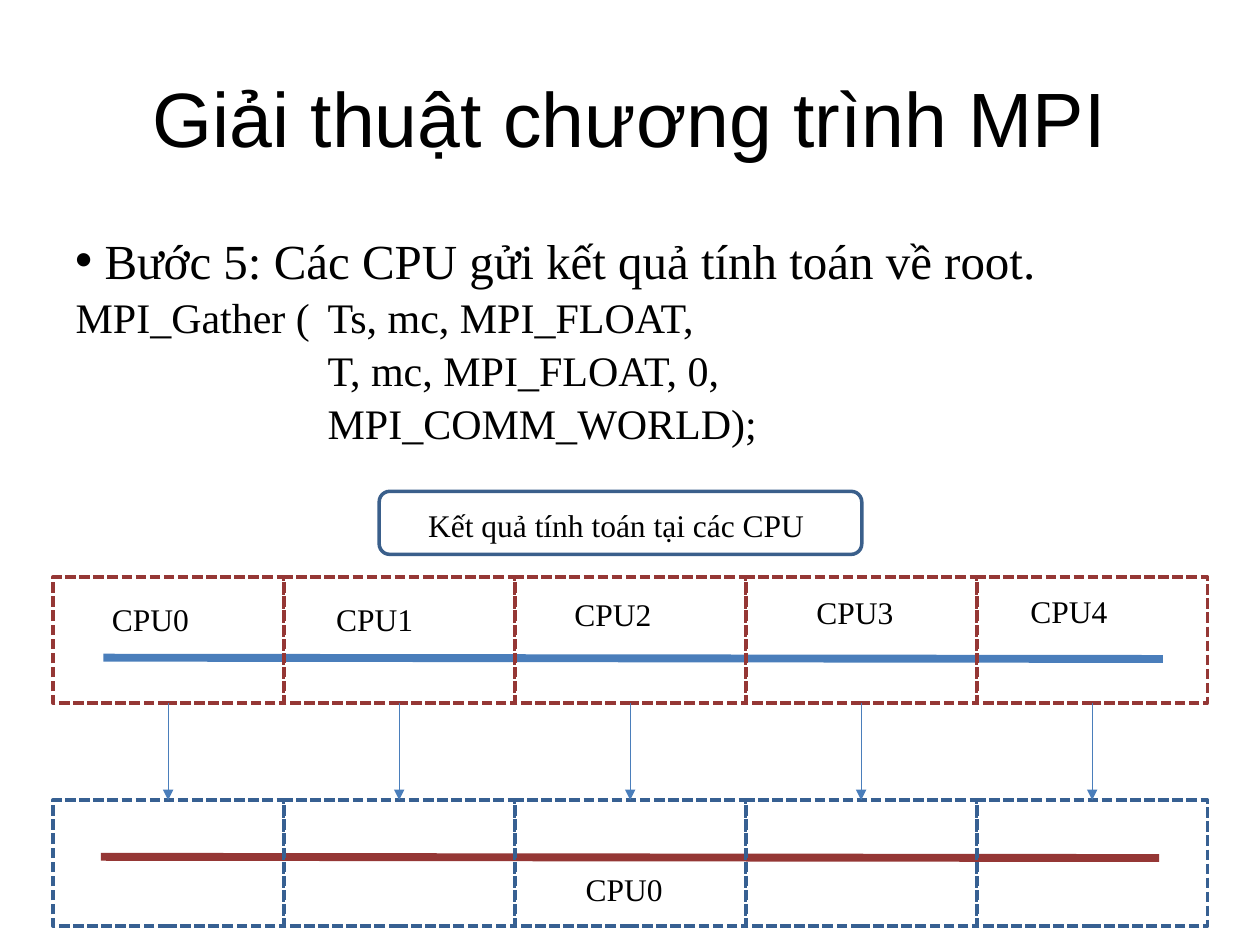
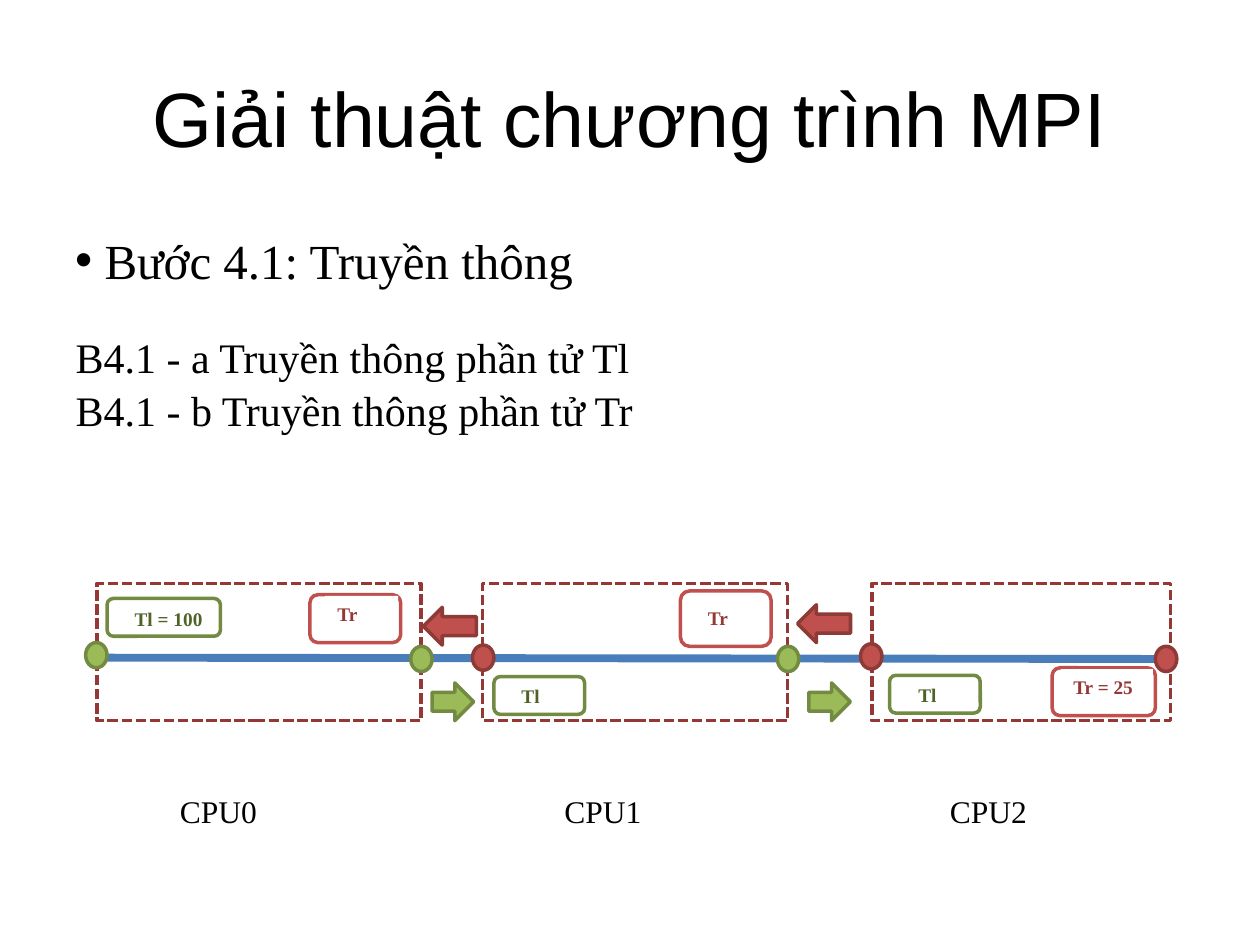
from lxml import etree
from pptx import Presentation
from pptx.dml.color import RGBColor
from pptx.enum.dml import MSO_LINE
from pptx.enum.shapes import MSO_CONNECTOR, MSO_SHAPE as SHAPE
from pptx.enum.text import MSO_ANCHOR, PP_ALIGN
from pptx.oxml.ns import qn
from pptx.util import Inches, Pt

COLORS = {
    "black": "000000", "white": "FFFFFF", "blue": "4A7EBB",
    "navy": "376092", "label_edge": "3A5F8B", "maroon": "953735",
    "red": "C0504D", "red_edge": "8E3B38", "green": "9BBB59",
    "green_edge": "728A41", "green_text": "4F6228",
}
RGB = {name: RGBColor.from_string(code) for name, code in COLORS.items()}
TITLE_FONT, BODY_FONT = "Arial", "Times New Roman"
TITLE = "Giải thuật chương trình MPI"


def add_box(s, at, text="", kind=None, fill=None, line=None, dash=False,
            size=18, color="black", bold=False):
    """Add a preset shape, or a text box when no kind is given."""
    place = [Inches(n) for n in at]
    if kind is None:
        sp = s.shapes.add_textbox(*place)
    else:
        sp = s.shapes.add_shape(kind, *place)
        sp.shadow.inherit = False
    if fill:
        sp.fill.solid()
        sp.fill.fore_color.rgb = RGB[fill]
    else:
        sp.fill.background()
    if line:
        sp.line.color.rgb = RGB[line]
        sp.line.width = Pt(2)
        if dash:
            sp.line.dash_style = MSO_LINE.SQUARE_DOT
    else:
        sp.line.fill.background()
    if text:
        tf = sp.text_frame
        tf.word_wrap = True
        r = tf.paragraphs[0].add_run()
        r.text = text
        r.font.name, r.font.size, r.font.bold = BODY_FONT, Pt(size), bold
        r.font.color.rgb = RGB[color]


def add_line(s, x1, y1, x2, y2, color, width, arrow=False):
    """Add a straight line without shadow, optionally with an arrowhead."""
    cx = s.shapes.add_connector(MSO_CONNECTOR.STRAIGHT, Inches(x1), Inches(y1),
                                Inches(x2), Inches(y2))
    cx.line.color.rgb = RGB[color]
    cx.line.width = Pt(width)
    if arrow:
        etree.SubElement(cx.line._get_or_add_ln(), qn("a:tailEnd"), type="triangle")
    etree.SubElement(cx._element.spPr, qn("a:effectLst"))


prs = Presentation()
prs.slide_width, prs.slide_height = Inches(10), Inches(7.5)

# Shared frame: title, bulleted step, plain lines below it, blue data bar.
# Each entry: step, gap above the plain lines in points, plain lines.
contents = [
    ("Bước 5: Các CPU gửi kết quả tính toán về root.", 1.4,
     ["MPI_Gather (\tTs, mc, MPI_FLOAT,", "\t\tT, mc, MPI_FLOAT, 0,",
      "\t\tMPI_COMM_WORLD);"]),
    ("Bước 4.1: Truyền thông", 24,
     ["B4.1 - a Truyền thông phần tử Tl", "B4.1 - b Truyền thông phần tử Tr"]),
]
slides = []
for step, gap, lines in contents:
    s = prs.slides.add_slide(prs.slide_layouts[1])
    slides.append(s)

    title, body = s.placeholders[0], s.placeholders[1]
    title.left, title.top = Inches(0.5), Inches(0.3)
    title.width, title.height = Inches(9), Inches(1.25)
    title.text_frame.vertical_anchor = MSO_ANCHOR.MIDDLE
    p = title.text_frame.paragraphs[0]
    p.alignment = PP_ALIGN.CENTER
    r = p.add_run()
    r.text = TITLE
    r.font.name, r.font.size = TITLE_FONT, Pt(44)
    r.font.color.rgb = RGB["black"]

    body.left, body.top = Inches(0.5), Inches(1.75)
    body.width, body.height = Inches(9), Inches(4.95)
    tf = body.text_frame
    tf.margin_top = Inches(0.08)
    for i, text in enumerate([step] + lines):
        p = tf.add_paragraph() if i else tf.paragraphs[0]
        p.space_before = Pt(gap if i == 1 else 1.4)
        pPr = p._p.get_or_add_pPr()
        hang = 0 if i else Inches(0.23)
        pPr.set("marL", str(hang))
        pPr.set("indent", str(-hang))
        pPr.set("defTabSz", str(Inches(1)))
        if i:
            etree.SubElement(pPr, qn("a:buNone"))
        r = p.add_run()
        r.text = text
        r.font.name, r.font.size = BODY_FONT, Pt(24 if i else 28)
        r.font.color.rgb = RGB["black"]

    add_line(s, 0.82, 5.22, 9.23, 5.23, "blue", 4.5)

# Slide 1: five CPU parts gathered into one row on CPU0
s = slides[0]
LEFT, CELL = 0.42, 1.83
cells = [LEFT + i * 11 / 6 for i in range(5)]
for x in cells:
    add_box(s, (x, 4.58, CELL, 1), kind=SHAPE.RECTANGLE, line="maroon", dash=True)
cpu_labels = [(0.79, 4.71), (2.57, 4.71), (4.46, 4.67), (6.38, 4.66), (8.08, 4.65)]
for i, (x, y) in enumerate(cpu_labels):
    add_box(s, (x, y, 1.25, 0.4), f"CPU{i}")
add_box(s, (4.55, 6.86, 0.95, 0.4), "CPU0")
add_line(s, 0.8, 6.8, 9.2, 6.81, "maroon", 4.5)
for x in cells:
    add_box(s, (x, 6.35, CELL, 1), kind=SHAPE.RECTANGLE, line="navy", dash=True)
    middle = x + CELL / 2
    add_line(s, middle, 5.58, middle, 6.35, "blue", 0.75, arrow=True)
add_box(s, (3.01, 3.9, 3.83, 0.5), kind=SHAPE.ROUNDED_RECTANGLE, line="label_edge")
add_box(s, (3.3, 3.97, 3.29, 0.7), "Kết quả tính toán tại các CPU")

# Slide 2: neighbouring CPUs exchange their edge elements
s = slides[1]
for i, (x, width, label_x) in enumerate([(0.77, 2.57, 1.33), (3.83, 2.42, 4.38),
                                         (6.92, 2.37, 7.44)]):
    add_box(s, (x, 4.63, width, 1.09), kind=SHAPE.RECTANGLE, line="maroon", dash=True)
    add_box(s, (label_x, 6.24, 1.25, 0.4), f"CPU{i}")

edge_points = [(0.68, 5.1, "green"), (3.26, 5.13, "green"), (6.17, 5.13, "green"),
               (3.75, 5.12, "red"), (6.83, 5.11, "red"), (9.17, 5.13, "red")]
for x, y, color in edge_points:
    add_box(s, (x, y, 0.17, 0.2), kind=SHAPE.OVAL, fill=color, line=color + "_edge")

for x, y in [(3.36, 4.82), (6.33, 4.8)]:
    add_box(s, (x, y, 0.42, 0.3), kind=SHAPE.LEFT_ARROW, fill="red", line="red_edge")
for x in (3.43, 6.42):
    add_box(s, (x, 5.42, 0.33, 0.3), kind=SHAPE.RIGHT_ARROW, fill="green",
            line="green_edge")

# Element tags: text, rounded frame, text area
left_tags = [("Tl = 100", (0.85, 4.75, 0.9, 0.3), (0.97, 4.77, 0.98, 0.28)),
             ("Tl", (3.92, 5.37, 0.72, 0.3), (4.04, 5.38, 0.58, 0.28)),
             ("Tl", (7.06, 5.36, 0.72, 0.3), (7.19, 5.37, 0.58, 0.28))]
right_tags = [("Tr", (2.46, 4.72, 0.72, 0.38), (2.58, 4.73, 0.58, 0.28)),
              ("Tr", (5.4, 4.69, 0.72, 0.44), (5.52, 4.76, 0.58, 0.28)),
              ("Tr = 25", (8.35, 5.3, 0.82, 0.38), (8.42, 5.31, 0.73, 0.28))]
for tags, fill, line, color in [(left_tags, None, "green_edge", "green_text"),
                                (right_tags, "white", "red", "maroon")]:
    for text, frame, area in tags:
        add_box(s, frame, kind=SHAPE.ROUNDED_RECTANGLE, fill=fill, line=line)
        add_box(s, area, text, fill=fill, size=11, color=color, bold=True)

prs.save("out.pptx")
